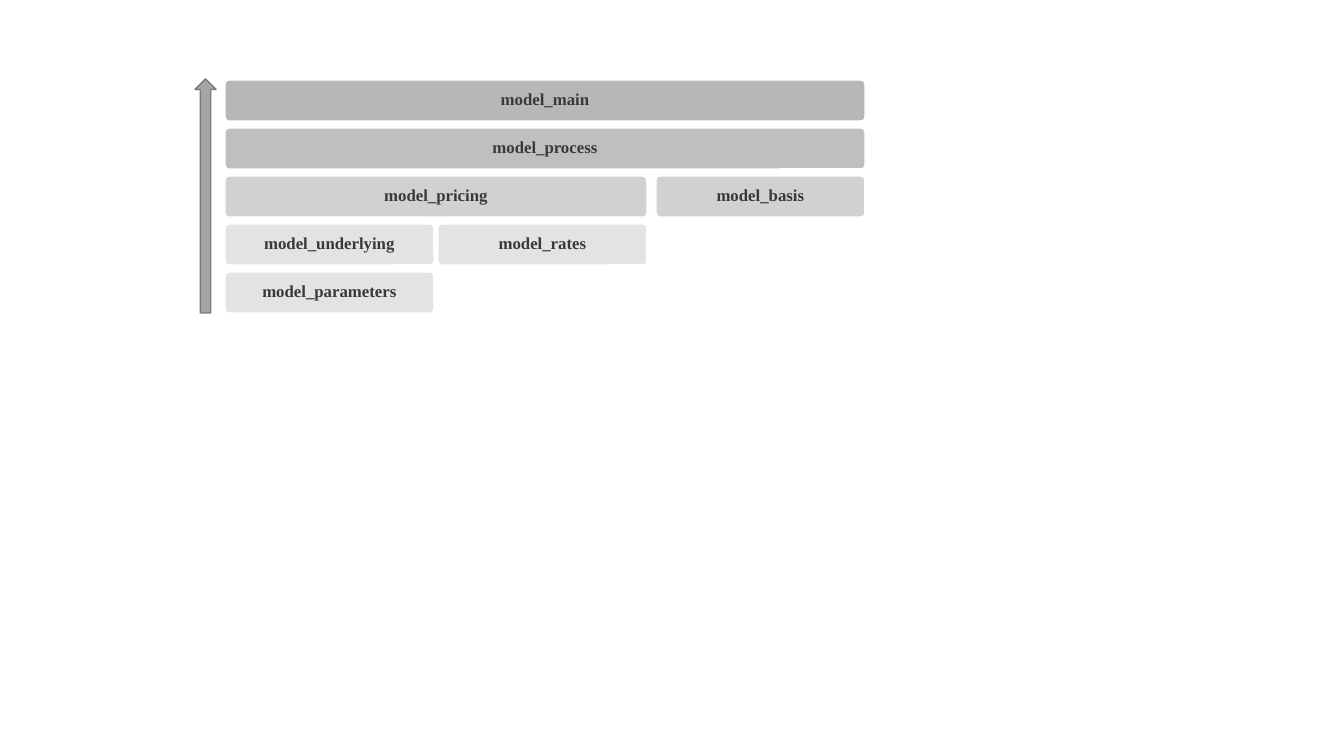
import pptx
import pptx.util
import pptx.dml.color
import pptx.enum.shapes
import pptx.enum.text
import lxml.etree
import pptx.oxml.ns

COLORS = {"gray": "A5A5A5", "edge": "7A7A7A", "white": "FFFFFF", "text": "3B3838"}
FONT = "Times New Roman"
PIXEL = 914400 / 100.8

# Module grid, in pixels
TOP, ROW_STEP, BAR_HEIGHT = 80, 48, 41
LEFT, SECOND, THIRD = 225, 438, 656
NARROW, MEDIUM, WIDE = 209, 422, 640

# Module name, row, left, width, opacity in percent
MODULES = [
    ("model_main", 0, LEFT, WIDE, 80),
    ("model_process", 1, LEFT, WIDE, 70),
    ("model_pricing", 2, LEFT, MEDIUM, 50),
    ("model_underlying", 3, LEFT, NARROW, 30),
    ("model_parameters", 4, LEFT, NARROW, 30),
    ("model_rates", 3, SECOND, NARROW, 30),
    ("model_basis", 2, THIRD, NARROW, 50),
]


def px(length):
    return pptx.util.Emu(round(length * PIXEL))


def rgb(name):
    return pptx.dml.color.RGBColor.from_string(COLORS[name])


def add_preset(page, kind, left, top, width, height, line):
    shape = page.shapes.add_shape(kind, px(left), px(top), px(width), px(height))
    shape.shadow.inherit = False
    shape.fill.solid()
    shape.fill.fore_color.rgb = rgb("gray")
    shape.line.color.rgb = rgb(line)
    shape.line.width = pptx.util.Pt(1)
    return shape


def set_opacity(shape, percent):
    qualify = pptx.oxml.ns.qn
    color = shape.element.spPr.find(qualify("a:solidFill")).find(qualify("a:srgbClr"))
    lxml.etree.SubElement(color, qualify("a:alpha")).set("val", str(percent * 1000))


def add_module(page, name, row, left, width, opacity):
    kind = pptx.enum.shapes.MSO_SHAPE.ROUNDED_RECTANGLE
    bar = add_preset(page, kind, left, TOP + row * ROW_STEP, width, BAR_HEIGHT, "white")
    bar.adjustments[0] = 0.1
    set_opacity(bar, opacity)

    frame = bar.text_frame
    frame.word_wrap = True
    frame.vertical_anchor = pptx.enum.text.MSO_ANCHOR.MIDDLE
    frame.margin_left = frame.margin_right = px(5)
    frame.margin_top = frame.margin_bottom = px(5)
    para = frame.paragraphs[0]
    para.text = name
    para.alignment = pptx.enum.text.PP_ALIGN.CENTER
    para.line_spacing = 0.9
    para.font.name = FONT
    para.font.size = pptx.util.Pt(12)
    para.font.bold = True
    para.font.color.rgb = rgb("text")


def main():
    deck = pptx.Presentation()
    deck.slide_width, deck.slide_height = px(1344), px(756)
    page = deck.slides.add_slide(deck.slide_layouts[6])

    # Module layers
    for module in MODULES:
        add_module(page, *module)

    # Upward arrow beside the layers
    add_preset(page, pptx.enum.shapes.MSO_SHAPE.UP_ARROW, 195, 79, 21, 234, "edge")

    deck.save("out.pptx")


main()
